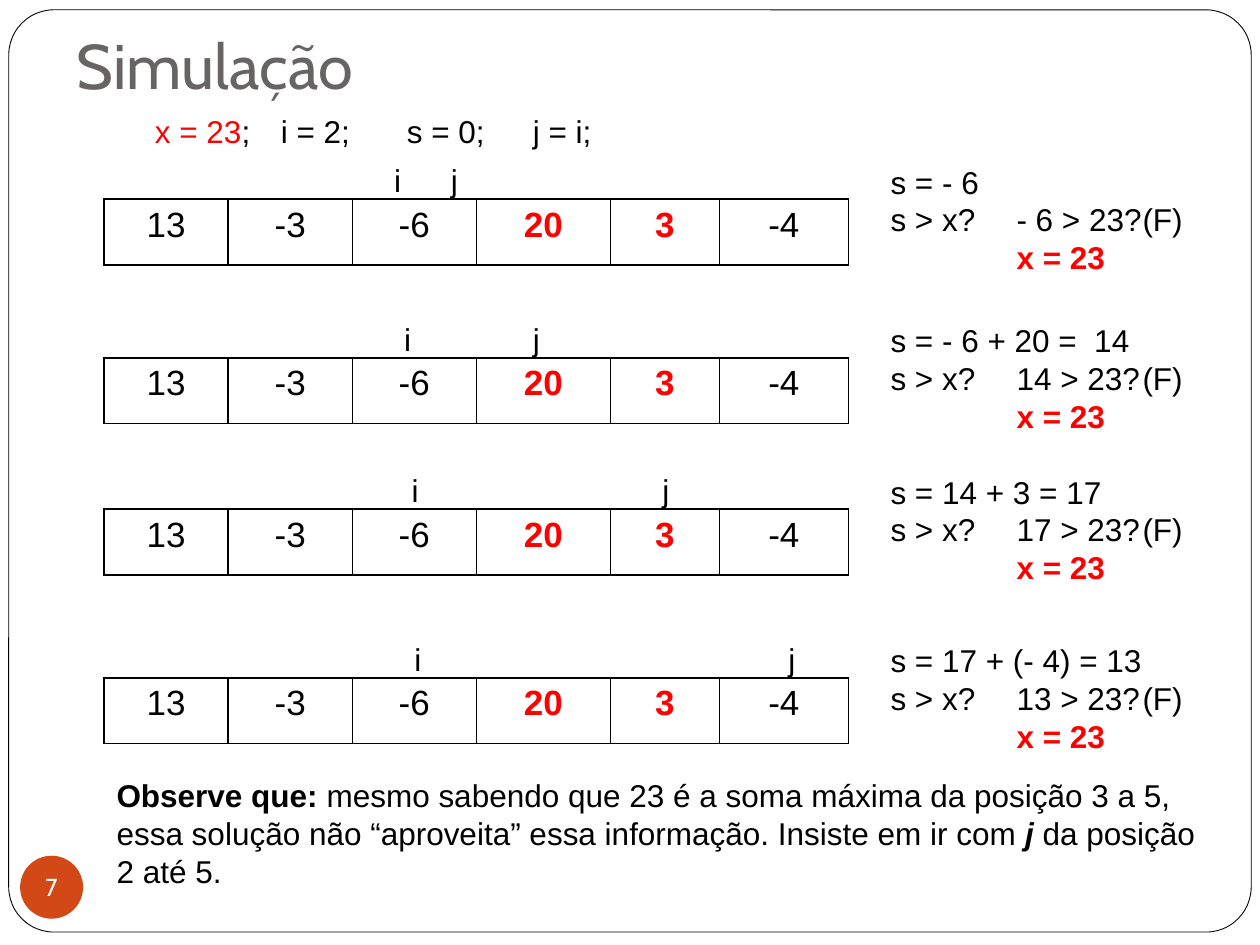
"""Build the slide that traces the maximum-sum simulation over an array."""
from pptx import Presentation
from pptx.dml.color import RGBColor
from pptx.enum.shapes import MSO_SHAPE as Preset
from pptx.enum.text import MSO_ANCHOR as Anchor, PP_ALIGN as Align
from pptx.oxml import parse_xml
from pptx.oxml.ns import nsdecls
from pptx.util import Pt

BLACK, RED, WHITE, ORANGE, GREY = "000000", "FF0000", "FFFFFF", "D34817", "696464"
BODY = {"name": "Arial", "size": Pt(18), "bold": False, "italic": False}
HEADING = {"name": "Cabin", "size": Pt(36)}
BADGE = {"name": "Cabin", "size": Pt(14)}
STRONG = {"bold": True}
TAB_STOPS = "".join(f'<a:tab pos="{Pt(72 * stop)}" algn="l"/>' for stop in range(1, 5))


def color(target, value):
    if hasattr(target, "solid"):
        target.solid()
        target = target.fore_color
    target.rgb = RGBColor.from_string(value)


def write(frame, lines, base=BODY, align=Align.LEFT, **settings):
    for name, value in settings.items():
        setattr(frame, name, value)
    for number, line in enumerate(lines):
        paragraph = frame.add_paragraph() if number else frame.paragraphs[0]
        paragraph.alignment = align
        if any("\t" in text for text, ink, extra in line):
            paragraph._p.get_or_add_pPr().append(
                parse_xml(f'<a:tabLst {nsdecls("a")}>{TAB_STOPS}</a:tabLst>'))
        for text, ink, extra in line:
            run = paragraph.add_run()
            run.text = text
            for name, value in {**base, **extra}.items():
                setattr(run.font, name, value)
            color(run.font.color, ink)


deck = Presentation()
deck.slide_width, deck.slide_height = Pt(720), Pt(540)
slide = deck.slides.add_slide(deck.slide_layouts[6])
shapes = slide.shapes

border = shapes.add_shape(Preset.ROUNDED_RECTANGLE, Pt(5), Pt(5.6), Pt(710), Pt(527))
border.adjustments[0] = 0.049
border.shadow.inherit = False
color(border.fill, WHITE)
color(border.line.fill, BLACK)
border.line.width = Pt(0.5)

heading = shapes.add_textbox(Pt(36.7), Pt(21.6), Pt(647.3), Pt(43.9))
write(heading.text_frame, [[("Simulação", GREY, {})]], HEADING,
      word_wrap=True, vertical_anchor=Anchor.BOTTOM, margin_bottom=Pt(7.2))

page_badge = shapes.add_shape(Preset.OVAL, Pt(11.5), Pt(489), Pt(36), Pt(36))
page_badge.shadow.inherit = False
color(page_badge.fill, ORANGE)
page_badge.line.fill.background()
write(page_badge.text_frame, [[("7", WHITE, {})]], BADGE, Align.CENTER,
      word_wrap=False, vertical_anchor=Anchor.MIDDLE,
      margin_left=0, margin_right=0, margin_top=0, margin_bottom=0)

start = shapes.add_textbox(Pt(9.4), Pt(60.5), Pt(339), Pt(29))
write(start.text_frame, [[("\t", BLACK, {}), ("x = 23", RED, {}),
                          ("; \ti = 2;\ts = 0;\tj = i;", BLACK, {})]], word_wrap=False)

numbers = ["13", "-3", "-6", "20", "3", "-4"]
best_slice = {"20", "3"}
column_widths = [70.9, 70.9, 70.9, 76.6, 62.3, 73.8]
array_left, array_height = 59.5, 37.6

steps = [
    (113.8, 218.2, 250.6, "s = - 6", "- 6 > 23?"),
    (204.5, 223.9, 297.4, "s = - 6 + 20 =  14", "14 > 23?"),
    (290.9, 228.2, 371.5, "s = 14 + 3 = 17", "17 > 23?"),
    (387.4, 229.7, 443.5, "s = 17 + (- 4) = 13", "13 > 23?"),
]
for top, i_left, j_left, total, comparison in steps:
    array = shapes.add_table(1, len(numbers), Pt(array_left), Pt(top),
                             Pt(sum(column_widths)), Pt(array_height)).table
    array.first_row = array.horz_banding = False
    array.rows[0].height = Pt(array_height)
    for column, width, cell, number in zip(array.columns, column_widths,
                                           array.iter_cells(), numbers):
        column.width = Pt(width)
        properties = cell._tc.get_or_add_tcPr()
        for side in ("lnL", "lnR", "lnT", "lnB"):
            edge = parse_xml(f'<a:{side} {nsdecls("a")} w="{Pt(1)}"><a:solidFill>'
                             f'<a:srgbClr val="{BLACK}"/></a:solidFill></a:{side}>')
            properties.append(edge)
        cell.fill.background()
        best = number in best_slice
        write(cell.text_frame, [[(number, RED if best else BLACK,
                                  {"size": Pt(20), "bold": best})]], align=Align.CENTER)

    for index, left in (("i", i_left), ("j", j_left)):
        marker = shapes.add_textbox(Pt(left), Pt(top - 25.3), Pt(18.7), Pt(29))
        write(marker.text_frame, [[(index, BLACK, {})]], word_wrap=False)

    check = shapes.add_textbox(Pt(501.8), Pt(top - 24.4), Pt(193), Pt(72.7))
    write(check.text_frame, [[(total, BLACK, {})],
                             [(f"s > x? \t{comparison}\t(F)", BLACK, {})],
                             [("\t", BLACK, {}), ("x = 23", RED, STRONG)]], word_wrap=True)

remark = shapes.add_textbox(Pt(59.5), Pt(440), Pt(635), Pt(94.3))
write(remark.text_frame, [[
    ("Observe que: ", BLACK, STRONG),
    ("mesmo sabendo que 23 é a soma máxima da posição 3 a 5, essa solução não "
     "“aproveita” essa informação. Insiste em ir com ", BLACK, {}),
    ("j", BLACK, {"bold": True, "italic": True}),
    (" da posição 2 até 5.", BLACK, {}),
]], word_wrap=True)

deck.save("out.pptx")
